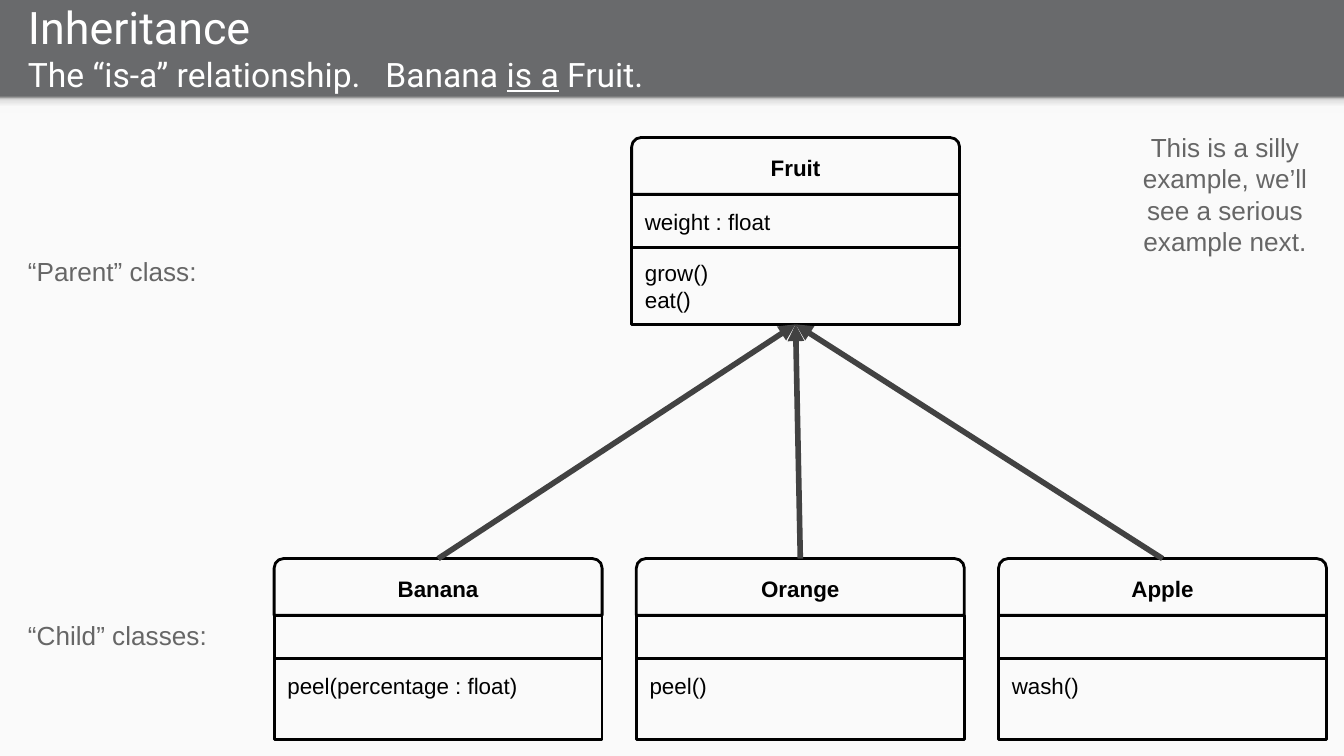
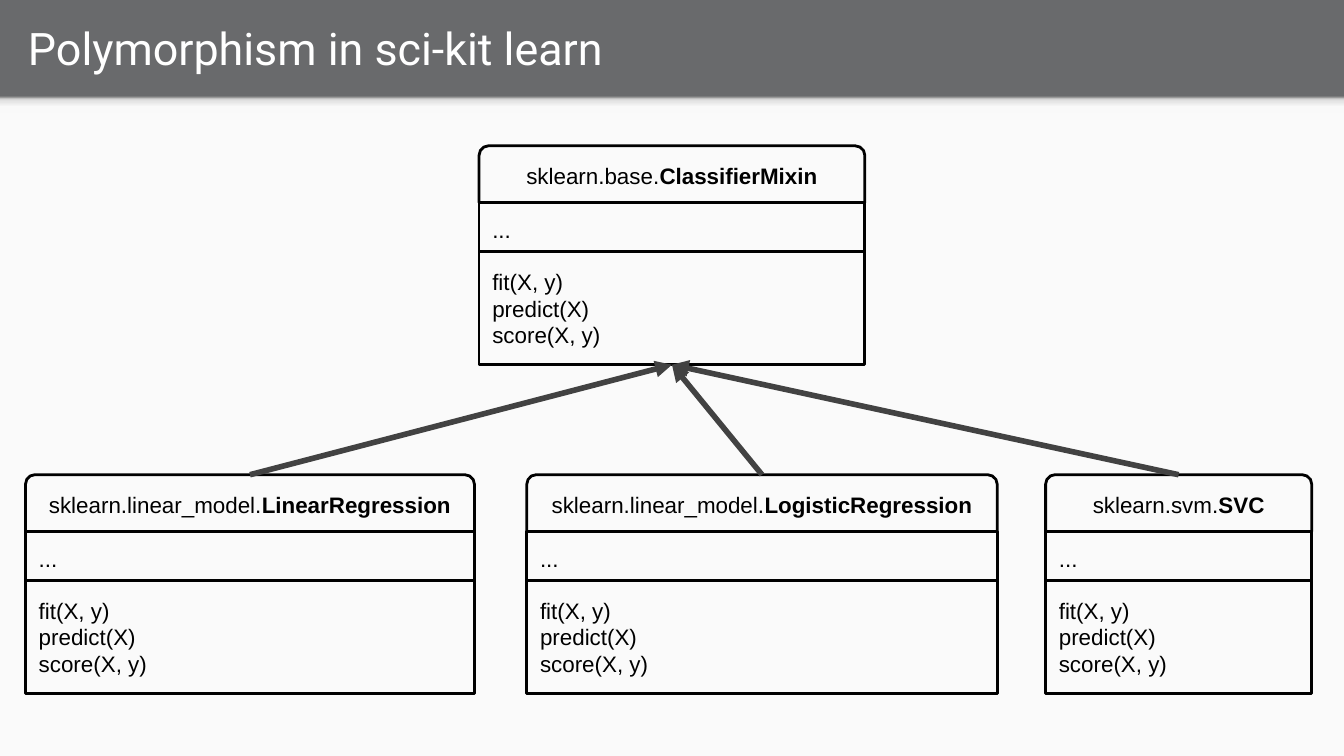
from dataclasses import dataclass

import pptx
import pptx.dml.color
import pptx.enum.shapes
import pptx.enum.text
import pptx.oxml
import pptx.oxml.ns
import pptx.util
from lxml import etree

Pt = pptx.util.Pt
Shape = pptx.enum.shapes.MSO_SHAPE
Align = pptx.enum.text.PP_ALIGN
Anchor = pptx.enum.text.MSO_ANCHOR
qn = pptx.oxml.ns.qn

WIDTH = pptx.util.Inches(10)
HEIGHT = pptx.util.Inches(5.625)


@dataclass(frozen=True)
class Theme:
    header: str = "696A6C"
    paper: str = "FAFAFA"
    title: str = "FFFFFF"
    label: str = "666666"
    ink: str = "000000"
    arrow: str = "424242"
    band: tuple = ((0, "F9F9F9"), (36, "F9F9F9"), (80, "DEDEDE"), (100, "999999"))
    title_font: str = "Roboto"
    body_font: str = "Arial"
    title_size: int = 24
    subtitle_size: int = 18
    label_size: int = 14
    class_size: int = 12
    border: float = 1.5
    arrow_width: float = 3


THEME = Theme()

# Rows shared by every class box and header, in percent of the slide height
HEADER_ROWS = 12.8
NAME_ROWS = 7.5


@dataclass(frozen=True)
class Layout:
    """Rows of a class box: top edge, attribute part, method part."""
    top: float
    attributes: float
    methods: float
    method_anchor: Anchor = Anchor.MIDDLE


def col(share):
    return round(WIDTH * share / 100)


def row(share):
    return round(HEIGHT * share / 100)


def area(left, top, width, height):
    return col(left), row(top), col(width), row(height)


def rgb(value):
    return pptx.dml.color.RGBColor.from_string(value)


# Text
def add_run(paragraph, text, size, color, font=THEME.body_font, bold=None, underline=None):
    run = paragraph.add_run()
    run.text = text
    run.font.size = Pt(size)
    run.font.name = font
    run.font.color.rgb = rgb(color)
    run.font.bold = bold
    run.font.underline = underline


def prepare_frame(shape, anchor):
    frame = shape.text_frame
    frame.word_wrap = True
    frame.vertical_anchor = anchor
    frame.margin_left = frame.margin_right = pptx.util.Inches(0.1)
    frame.margin_top = frame.margin_bottom = pptx.util.Inches(0.1)
    return frame


def add_label(slide, place, text, align=Align.LEFT):
    frame = prepare_frame(slide.shapes.add_textbox(*area(*place)), Anchor.TOP)
    paragraph = frame.paragraphs[0]
    paragraph.alignment = align
    add_run(paragraph, text, THEME.label_size, THEME.label)


def add_tab_stop(paragraph, position):
    tabs = etree.SubElement(paragraph._p.get_or_add_pPr(), qn("a:tabLst"))
    etree.SubElement(tabs, qn("a:tab"), pos=str(position), algn="l")


# Slide frame: grey header, paper, shaded band and title
def add_plain(slide, place, color):
    shape = slide.shapes.add_shape(Shape.RECTANGLE, *area(*place))
    shape.shadow.inherit = False
    shape.fill.solid()
    shape.fill.fore_color.rgb = rgb(color)
    shape.line.fill.background()
    return shape


def shade_upwards(shape, stops):
    shape.fill.gradient()
    gradient = shape._element.spPr.find(qn("a:gradFill"))
    stop_list = gradient.find(qn("a:gsLst"))
    for old in list(stop_list):
        stop_list.remove(old)
    for position, color in stops:
        stop = etree.SubElement(stop_list, qn("a:gs"), pos=str(position * 1000))
        etree.SubElement(stop, qn("a:srgbClr"), val=color)
    gradient.find(qn("a:lin")).set("ang", str(270 * 60000))


def add_framed_slide(deck, title):
    slide = deck.slides.add_slide(deck.slide_layouts[6])
    slide.background.fill.solid()
    slide.background.fill.fore_color.rgb = rgb(THEME.header)
    add_plain(slide, (0, HEADER_ROWS, 100, 100 - HEADER_ROWS), THEME.paper)
    band = add_plain(slide, (0, HEADER_ROWS, 100, 2.1), THEME.paper)
    shade_upwards(band, THEME.band)
    heading = slide.shapes.add_textbox(*area(1.1, 0.35, 96.5, 11.75))
    frame = prepare_frame(heading, Anchor.MIDDLE)
    add_run(frame.paragraphs[0], title, THEME.title_size, THEME.title, THEME.title_font)
    return slide, frame


def add_subtitle(frame, runs, tab):
    paragraph = frame.add_paragraph()
    add_tab_stop(paragraph, col(tab))
    for text, underline in runs:
        add_run(paragraph, text, THEME.subtitle_size, THEME.title,
                THEME.title_font, underline=underline)


# Class diagram
def add_part(group, kind, place, lines, anchor, align=Align.LEFT):
    """One outlined part of a class box; each line is a list of (text, bold)."""
    part = group.shapes.add_shape(kind, *area(*place))
    part.shadow.inherit = False
    part.fill.background()
    part.line.color.rgb = rgb(THEME.ink)
    part.line.width = Pt(THEME.border)
    frame = prepare_frame(part, anchor)
    for index, runs in enumerate(lines):
        paragraph = frame.add_paragraph() if index else frame.paragraphs[0]
        paragraph.alignment = align
        for text, bold in runs:
            add_run(paragraph, text, THEME.class_size, THEME.ink, bold=bold)
    return part


def add_class(slide, layout, left, width, package, name, attributes, methods):
    """Draw a class box and return its name part and its method part."""
    group = slide.shapes.add_group_shape()
    title = [(package, False)] if package else []
    title.append((name, True))
    attribute_top = layout.top + NAME_ROWS
    method_top = attribute_top + layout.attributes
    name_part = add_part(group, Shape.ROUND_2_SAME_RECTANGLE,
                         (left, layout.top, width, NAME_ROWS),
                         [title], Anchor.MIDDLE, Align.CENTER)
    add_part(group, Shape.RECTANGLE, (left, attribute_top, width, layout.attributes),
             [[(text, False)] for text in attributes], Anchor.TOP)
    method_part = add_part(group, Shape.RECTANGLE,
                           (left, method_top, width, layout.methods),
                           [[(text, False)] for text in methods], layout.method_anchor)
    return name_part, method_part


def add_inheritance(slide, child_name, parent_methods):
    arrow = slide.shapes.add_connector(
        pptx.enum.shapes.MSO_CONNECTOR.STRAIGHT,
        child_name.left + child_name.width // 2, child_name.top, 0, 0)
    arrow.end_connect(parent_methods, 2)
    arrow.line.color.rgb = rgb(THEME.arrow)
    arrow.line.width = Pt(THEME.arrow_width)
    etree.SubElement(arrow.line._get_or_add_ln(), qn("a:tailEnd"), type="triangle")
    etree.SubElement(arrow._element.spPr, qn("a:effectLst"))


def add_family(slide, parent_layout, parent, child_layout, children):
    _, parent_methods = add_class(slide, parent_layout, *parent)
    child_names = [add_class(slide, child_layout, *child)[0] for child in children]
    for child_name in child_names:
        add_inheritance(slide, child_name, parent_methods)


# Slides
def build_inheritance(deck):
    slide, heading = add_framed_slide(deck, "Inheritance")
    add_subtitle(heading, [("The “is-a” relationship.\tBanana ", False),
                           ("is a", True), (" Fruit.", False)], tab=26.6)
    add_label(slide, (1.1, 32, 16.3, 7.1), "“Parent” class:")
    add_label(slide, (1.1, 80.2, 16.3, 7.1), "“Child” classes:")

    width, first, pitch = 24.4, 20.4, 26.95
    fruits = [("Banana", "peel(percentage : float)"), ("Orange", "peel()"),
              ("Apple", "wash()")]
    add_family(
        slide,
        Layout(18.2, 7, 10.2),
        (47, width, "", "Fruit", ["weight : float"], ["grow()", "eat()"]),
        Layout(73.9, 5.7, 10.7, Anchor.TOP),
        [(first + pitch * index, width, "", name, [], [method])
         for index, (name, method) in enumerate(fruits)])
    add_label(slide, (83.6, 15.6, 15.1, 23.8),
              "This is a silly example, we’ll see a serious example next.", Align.CENTER)


def build_polymorphism(deck):
    slide, _ = add_framed_slide(deck, "Polymorphism in sci-kit learn")
    members = (["..."], ["fit(X, y)", "predict(X)", "score(X, y)"])
    models = [(1.9, 33.4, "sklearn.linear_model.", "LinearRegression"),
              (39.2, 35, "sklearn.linear_model.", "LogisticRegression"),
              (77.8, 19.8, "sklearn.svm.", "SVC")]
    add_family(
        slide,
        Layout(19.3, 6.45, 15),
        (35.65, 28.7, "sklearn.base.", "ClassifierMixin", *members),
        Layout(62.8, 6.45, 15),
        [(*model, *members) for model in models])


def main():
    deck = pptx.Presentation()
    deck.slide_width, deck.slide_height = WIDTH, HEIGHT
    build_inheritance(deck)
    build_polymorphism(deck)
    deck.save("out.pptx")


if __name__ == "__main__":
    main()
